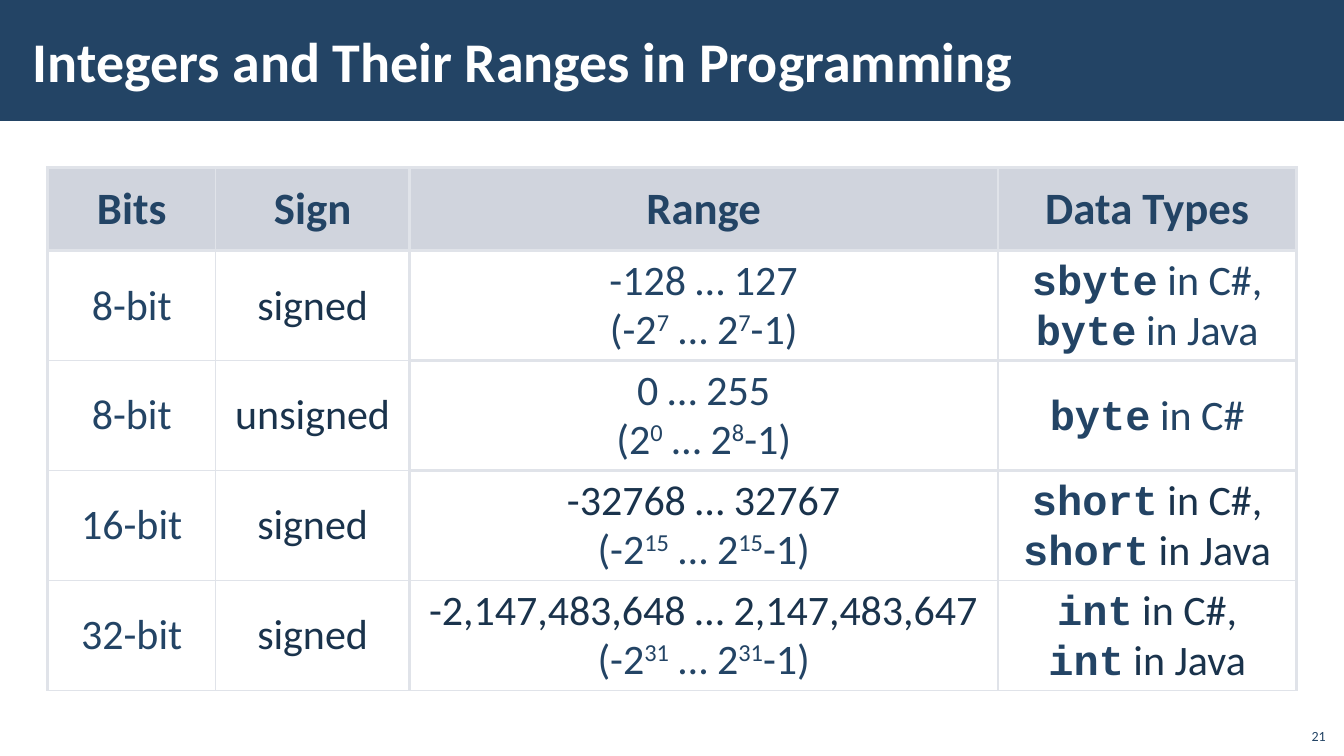
"""Build a slide with a table of integer types and their ranges."""

from dataclasses import dataclass

from lxml.etree import SubElement
from pptx import Presentation
from pptx.dml.color import RGBColor
from pptx.enum.shapes import MSO_SHAPE
from pptx.enum.text import MSO_ANCHOR, MSO_AUTO_SIZE, PP_ALIGN
from pptx.oxml.ns import qn
from pptx.slide import Slide
from pptx.table import Table, _Cell
from pptx.text.text import _Paragraph
from pptx.util import Cm, Pt

NAVY = RGBColor(0x23, 0x44, 0x65)
INK = RGBColor(0x1A, 0x33, 0x4C)
WHITE = RGBColor(0xFF, 0xFF, 0xFF)
HEADER_FILL = RGBColor(0xA3, 0xAB, 0xBC)
GRID = RGBColor(0xE0, 0xE3, 0xE9)
BODY_FONT = "Calibri"
CODE_FONT = "Courier New"
THICK, THIN = Pt(2.25), Pt(1)
HEADINGS = ("Bits", "Sign", "Range", "Data Types")
COLUMN_WIDTHS = (4.24, 4.88, 14.83, 7.52)
HEADER_HEIGHT, ROW_HEIGHT = 2.09, 2.77


@dataclass(frozen=True)
class Span:
    text: str
    color: RGBColor = NAVY
    size: float = 30
    bold: bool = False
    font: str = BODY_FONT
    superscript: bool = False


@dataclass(frozen=True)
class IntegerType:
    bits: str
    sign: str
    limits: str
    low: str
    low_power: str
    high_power: str
    keywords: tuple[tuple[str, str], ...]
    tone: RGBColor = NAVY

    def range_lines(self) -> list[list[Span]]:
        powers = [
            Span(f"({self.low}"),
            Span(self.low_power, superscript=True),
            Span(" … 2"),
            Span(self.high_power, superscript=True),
            Span("-1)"),
        ]
        return [[Span(self.limits, self.tone)], powers]

    def keyword_lines(self) -> list[list[Span]]:
        last = len(self.keywords) - 1
        return [
            [
                Span(keyword, bold=True, font=CODE_FONT),
                Span(f" in {language}" + ("," if i < last else ""), self.tone),
            ]
            for i, (keyword, language) in enumerate(self.keywords)
        ]

    def cells(self) -> list[list[list[Span]]]:
        return [
            [[Span(self.bits)]],
            [[Span(self.sign, INK)]],
            self.range_lines(),
            self.keyword_lines(),
        ]


INTEGER_TYPES = (
    IntegerType("8-bit", "signed", "-128 … 127", "-2", "7", "7",
                (("sbyte", "C#"), ("byte", "Java"))),
    IntegerType("8-bit", "unsigned", "0 … 255", "2", "0", "8",
                (("byte", "C#"),)),
    IntegerType("16-bit", "signed", "-32768 … 32767", "-2", "15", "15",
                (("short", "C#"), ("short", "Java")), INK),
    IntegerType("32-bit", "signed", "-2,147,483,648 … 2,147,483,647", "-2", "31", "31",
                (("int", "C#"), ("int", "Java")), INK),
)


def write_span(paragraph: _Paragraph, span: Span) -> None:
    run = paragraph.add_run()
    run.text = span.text
    run.font.name = span.font
    run.font.size = Pt(span.size)
    run.font.bold = span.bold
    run.font.color.rgb = span.color
    if span.superscript:
        run._r.get_or_add_rPr().set("baseline", "30000")


def write_lines(paragraph: _Paragraph, lines: list[list[Span]]) -> None:
    for i, line in enumerate(lines):
        if i:
            paragraph.add_line_break()
        for span in line:
            write_span(paragraph, span)


def rule_below(row: int, column: int) -> Pt:
    return THIN if row >= 3 or (row >= 1 and column < 2) else THICK


def draw_borders(cell: _Cell, row: int, column: int) -> None:
    widths = {
        "a:lnL": THIN if column == 1 else THICK,
        "a:lnR": THIN if column == 0 else THICK,
        "a:lnT": rule_below(row - 1, column),
        "a:lnB": rule_below(row, column),
    }
    properties = cell._tc.get_or_add_tcPr()
    for edge, width in widths.items():
        border = SubElement(properties, qn(edge), w=str(int(width)))
        fill = SubElement(border, qn("a:solidFill"))
        SubElement(fill, qn("a:srgbClr"), val=str(GRID))


def fill_header(cell: _Cell) -> None:
    cell.fill.solid()
    cell.fill.fore_color.rgb = HEADER_FILL
    color = cell._tc.tcPr.find(f"{qn('a:solidFill')}/{qn('a:srgbClr')}")
    SubElement(color, qn("a:alpha"), val="50000")


def fill_cell(table: Table, row: int, column: int, lines: list[list[Span]]) -> None:
    cell = table.cell(row, column)
    cell.vertical_anchor = MSO_ANCHOR.MIDDLE
    cell.margin_left = cell.margin_right = Cm(0.41)
    cell.margin_top = cell.margin_bottom = Cm(0.13)
    draw_borders(cell, row, column)
    if row == 0:
        fill_header(cell)
    else:
        cell.fill.background()
    paragraph = cell.text_frame.paragraphs[0]
    paragraph.alignment = PP_ALIGN.CENTER
    paragraph.line_spacing = 0.95
    write_lines(paragraph, lines)


def add_heading(slide: Slide) -> None:
    title = slide.shapes.title
    title.left, title.top, title.width, title.height = Cm(0.53), Cm(0.28), Cm(27), Cm(2.46)
    frame = title.text_frame
    frame.auto_size = MSO_AUTO_SIZE.NONE
    frame.vertical_anchor = MSO_ANCHOR.MIDDLE
    frame.margin_left = frame.margin_right = Cm(0.3)
    frame.margin_top = frame.margin_bottom = Cm(0.1)
    frame.paragraphs[0].alignment = PP_ALIGN.LEFT
    write_span(frame.paragraphs[0],
               Span("Integers and Their Ranges in Programming", WHITE, 40, True))

    band = slide.shapes.add_shape(MSO_SHAPE.RECTANGLE, 0, 0, Cm(33.87), Cm(3.05))
    band.shadow.inherit = False
    band.fill.solid()
    band.fill.fore_color.rgb = NAVY
    band.line.fill.background()
    title.element.addprevious(band.element)


def add_page_number(slide: Slide) -> None:
    page_number = slide.shapes.add_textbox(Cm(32.64), Cm(18.08), Cm(1.02), Cm(0.81))
    frame = page_number.text_frame
    frame.word_wrap = True
    frame.vertical_anchor = MSO_ANCHOR.BOTTOM
    frame.paragraphs[0].alignment = PP_ALIGN.RIGHT
    write_span(frame.paragraphs[0], Span("21", size=10))


def add_range_table(slide: Slide) -> None:
    heights = [HEADER_HEIGHT] + [ROW_HEIGHT] * len(INTEGER_TYPES)
    table = slide.shapes.add_table(
        len(heights), len(HEADINGS), Cm(1.2), Cm(4.22),
        Cm(sum(COLUMN_WIDTHS)), Cm(sum(heights))).table
    table.first_row = table.horz_banding = False
    for column, width in zip(table.columns, COLUMN_WIDTHS):
        column.width = Cm(width)
    for row, height in zip(table.rows, heights):
        row.height = Cm(height)
    header = [[[Span(heading, size=32, bold=True)]] for heading in HEADINGS]
    for row, cells in enumerate([header] + [entry.cells() for entry in INTEGER_TYPES]):
        for column, lines in enumerate(cells):
            fill_cell(table, row, column, lines)


def main() -> None:
    presentation = Presentation()
    presentation.slide_width, presentation.slide_height = Cm(33.87), Cm(19.05)
    slide = presentation.slides.add_slide(presentation.slide_layouts[5])
    add_heading(slide)
    add_page_number(slide)
    add_range_table(slide)
    presentation.save("out.pptx")


if __name__ == "__main__":
    main()
